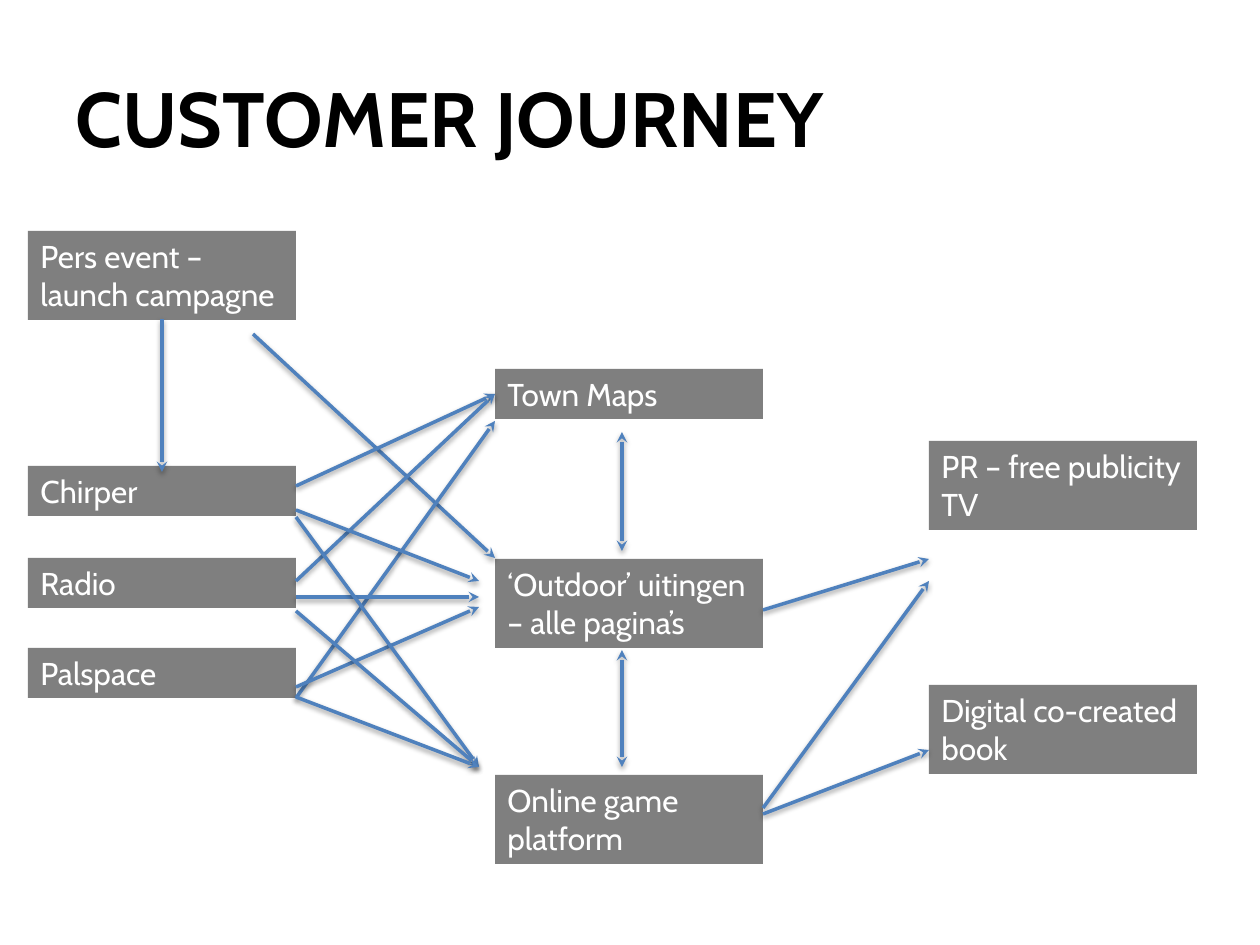
from lxml.etree import SubElement
from pptx import Presentation
from pptx.dml.color import RGBColor
from pptx.enum.shapes import MSO_CONNECTOR, MSO_SHAPE
from pptx.enum.text import MSO_ANCHOR, MSO_AUTO_SIZE, PP_ALIGN
from pptx.oxml.ns import qn
from pptx.util import Emu, Pt

LEFT, MID, RIGHT = 28, 495, 929
WIDTH, LOW, TALL = 268, 50, 89
EXIT = LEFT + WIDTH
LEAVE = MID + WIDTH
STOP = 479  # arrows to the outdoor and game boxes end short of the box
AXIS = 622

BOXES = [
    (LEFT, 231, TALL, "Pers event – launch campagne"),
    (LEFT, 466, LOW, "Chirper"),
    (LEFT, 558, LOW, "Radio"),
    (LEFT, 648, LOW, "Palspace"),
    (MID, 369, LOW, "Town Maps"),
    (MID, 559, TALL, "‘Outdoor’ uitingen – alle pagina’s"),
    (MID, 775, TALL, "Online game platform"),
    (RIGHT, 441, TALL, "PR – free publicity\nTV"),
    (RIGHT, 685, TALL, "Digital co-created book"),
]

# Start x, end x, and the pairs of start y and end y between them
FLOWS = [
    (LEFT + WIDTH // 2, LEFT + WIDTH // 2, [(319, 472)]),
    (253, MID, [(334, 558)]),
    (EXIT, MID, [(486, 394), (581, 394), (698, 421)]),
    (EXIT, STOP, [(510, 581), (597, 597), (687, 607)]),
    (EXIT, STOP, [(517, 767), (611, 767), (697, 767)]),
    (LEAVE, RIGHT, [(610, 559), (808, 581), (814, 750)]),
]
LINKS = [(551, 432), (767, 650)]


def px(count):
    return Emu(round(count * 914400 / 126))


def color(code):
    return RGBColor.from_string(code)


class Deck:
    font = "Cabin"
    gray, blue, white, black = "7F7F7F", "4F81BD", "FFFFFF", "000000"

    def __init__(self):
        self.prs = Presentation()
        self.prs.slide_width, self.prs.slide_height = px(1260), px(945)
        self.slide = self.prs.slides.add_slide(self.prs.slide_layouts[5])

    def style(self, frame, size, ink, bold=False):
        for para in frame.paragraphs:
            para.alignment = PP_ALIGN.LEFT
            for run in para.runs:
                run.font.name = self.font
                run.font.size = Pt(size)
                run.font.bold = bold
                run.font.color.rgb = color(ink)

    def title(self, text):
        shape = self.slide.shapes.title
        shape.left, shape.top = px(63), px(38)
        shape.width, shape.height = px(1134), px(158)
        frame = shape.text_frame
        frame.text = text
        frame.auto_size = MSO_AUTO_SIZE.NONE
        frame.vertical_anchor = MSO_ANCHOR.MIDDLE
        self.style(frame, 44, self.black, bold=True)

    def box(self, left, top, height, text):
        shape = self.slide.shapes.add_shape(
            MSO_SHAPE.RECTANGLE, px(left), px(top), px(WIDTH), px(height))
        shape.shadow.inherit = False
        shape.fill.solid()
        shape.fill.fore_color.rgb = color(self.gray)
        shape.line.fill.background()
        frame = shape.text_frame
        frame.word_wrap = True
        frame.vertical_anchor = MSO_ANCHOR.TOP
        frame.text = text
        self.style(frame, 18, self.white)

    def arrow(self, start, end, double=False):
        line = self.slide.shapes.add_connector(
            MSO_CONNECTOR.STRAIGHT, *map(px, start + end))
        line.line.width = Pt(2)
        line.line.color.rgb = color(self.blue)
        edge = line.line._get_or_add_ln()
        if double:
            SubElement(edge, qn("a:headEnd"), type="stealth")
        SubElement(edge, qn("a:tailEnd"), type="stealth")
        self.shade(line)

    def shade(self, line):
        """Give a connector its soft shadow, straight below it."""
        effect = SubElement(line._element.spPr, qn("a:effectLst"))
        shadow = SubElement(
            effect, qn("a:outerShdw"), blurRad=str(Pt(3.1)),
            dist=str(Pt(1.6)), dir="5400000", rotWithShape="0")
        ink = SubElement(shadow, qn("a:srgbClr"), val=self.black)
        SubElement(ink, qn("a:alpha"), val="38000")


def main():
    deck = Deck()
    deck.title("CUSTOMER JOURNEY")
    for item in BOXES:
        deck.box(*item)
    for x1, x2, pairs in FLOWS:
        for y1, y2 in pairs:
            deck.arrow((x1, y1), (x2, y2))
    for y1, y2 in LINKS:
        deck.arrow((AXIS, y1), (AXIS, y2), double=True)
    deck.prs.save("out.pptx")


if __name__ == "__main__":
    main()
